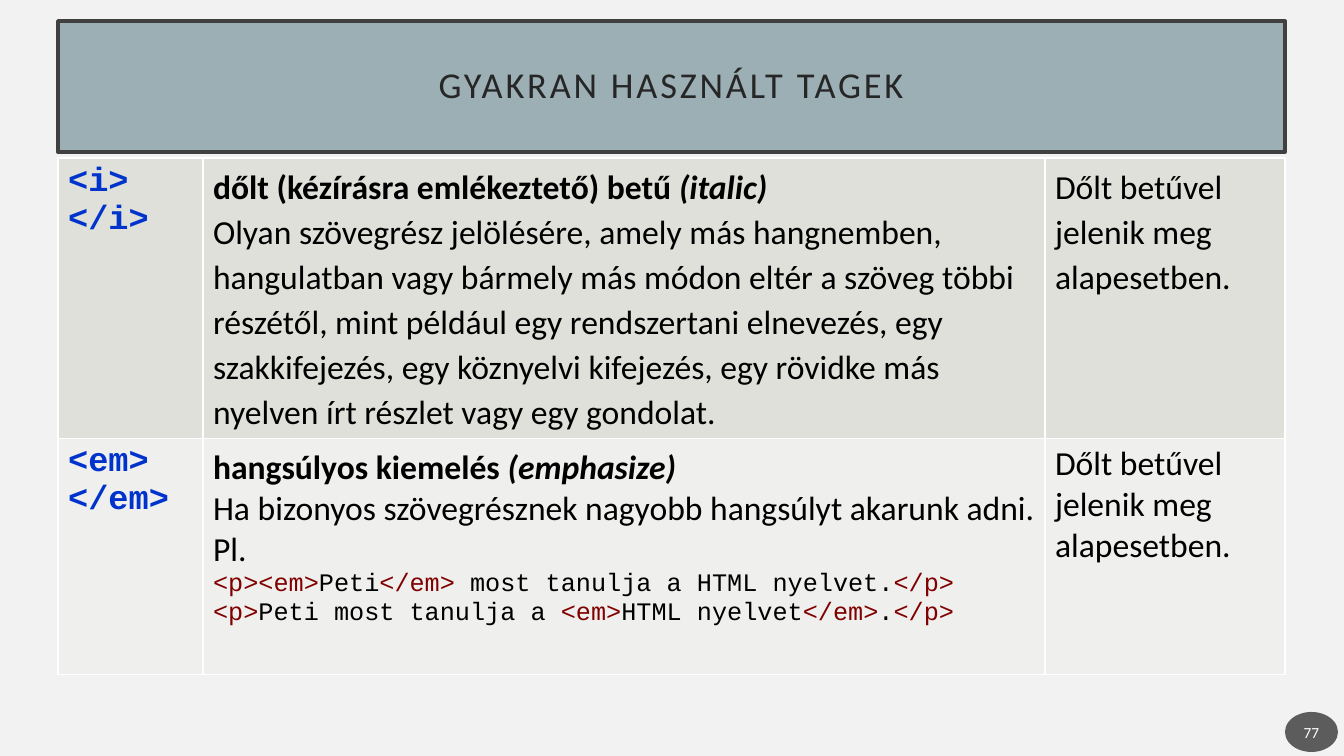
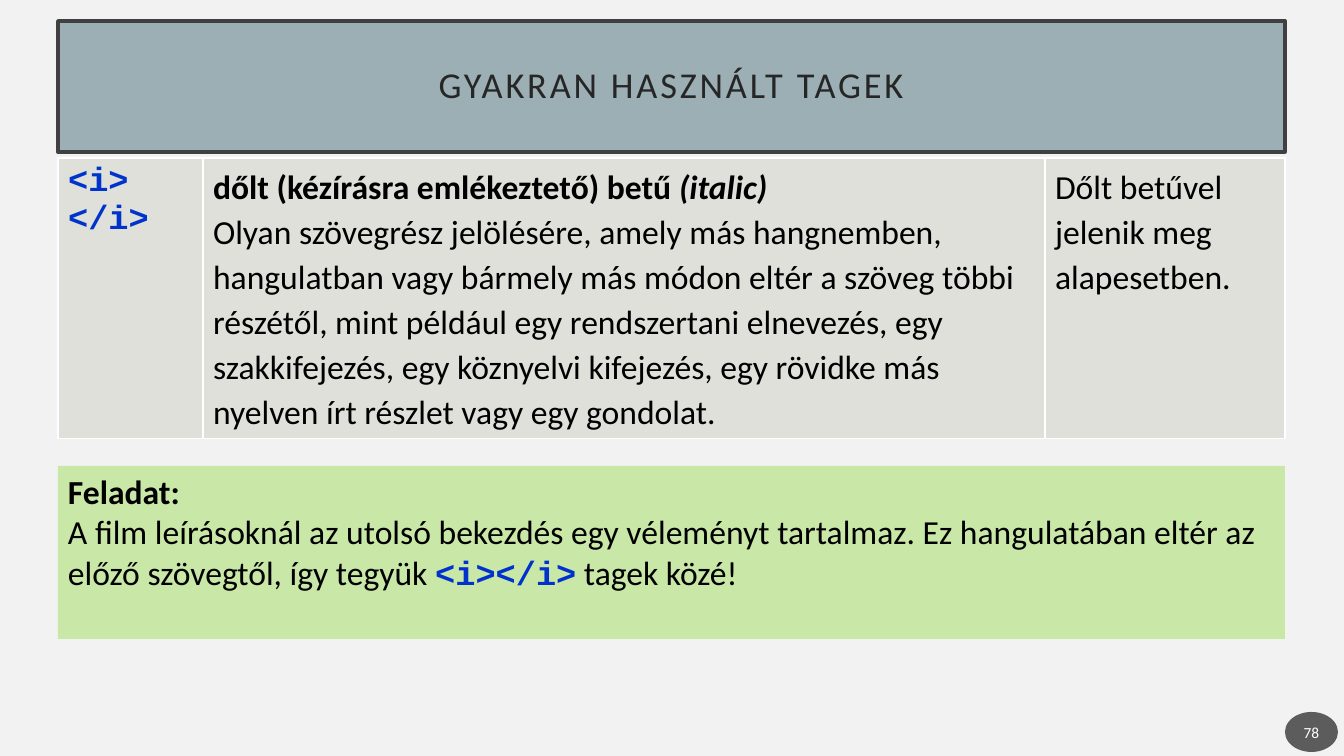
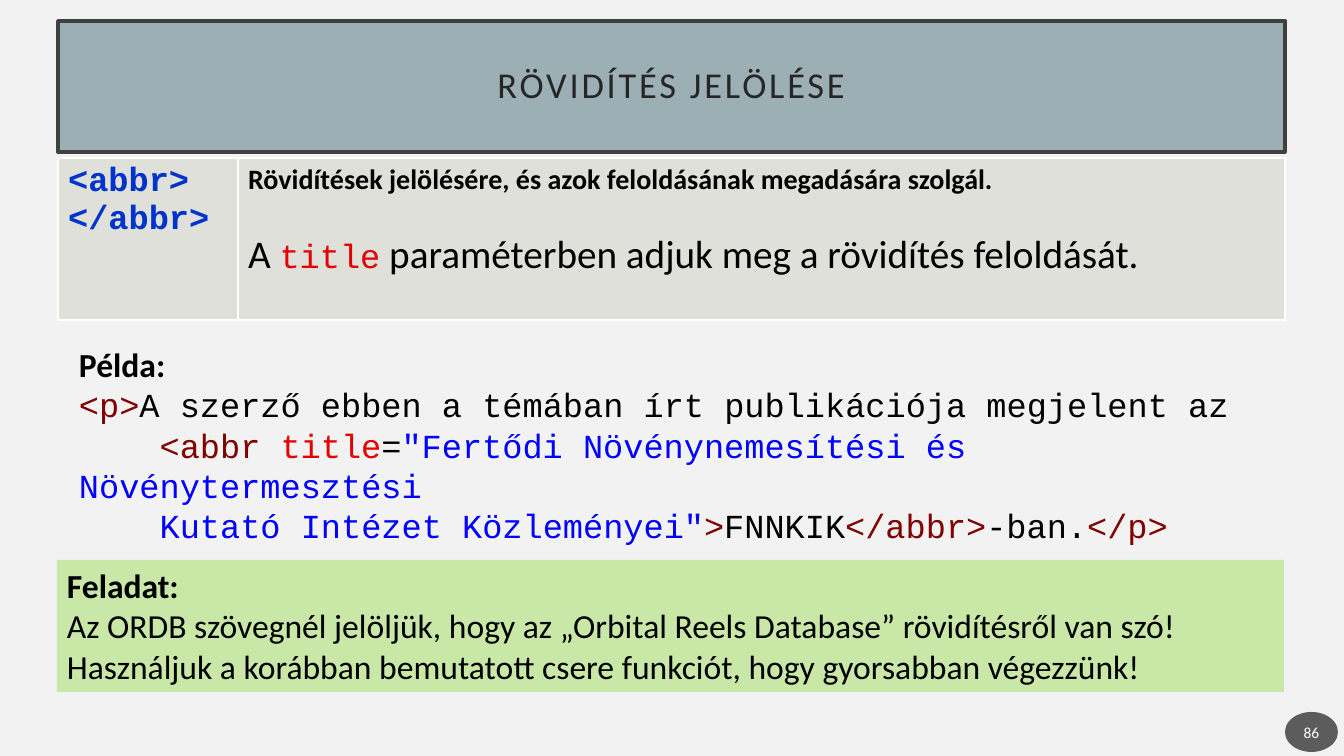
from dataclasses import dataclass, field

from lxml.etree import SubElement
from pptx import Presentation
from pptx.dml.color import RGBColor
from pptx.enum.shapes import MSO_SHAPE
from pptx.enum.text import MSO_ANCHOR, MSO_AUTO_SIZE, PP_ALIGN
from pptx.oxml.ns import qn
from pptx.util import Emu, Pt

EMU_PER_PX = 914400 / 100.8
LEFT, WIDTH = 58, 1227


def px(length):
    """Turn whole pixels into EMU."""
    return Emu(round(length * EMU_PER_PX))


def text_style(color="ink", size="body", name="text", bold=False, italic=False):
    """Describe the look of a run by theme keys."""
    return {"color": color, "size": size, "name": name, "bold": bold, "italic": italic}


def code_style(color="ink", size="body", bold=False):
    """Describe the look of a code run."""
    return text_style(color, size, "code", bold)


def line(*runs, **layout):
    """Describe a paragraph by its runs and its layout values."""
    return runs, layout


@dataclass(frozen=True)
class Theme:
    """Colours, fonts, type sizes and run styles of the deck."""

    colors: dict = field(default_factory=lambda: {
        "background": "F2F2F2", "band": "9BAFB5", "frame": "404040", "title": "262626",
        "badge": "1D1D1D", "white": "FFFFFF", "ink": "000000", "row_dark": "DEE0D9",
        "row_light": "EFF0ED", "task": "C9E7A7", "keyword": "0033CC", "markup": "800000",
        "attribute": "E50000", "value": "0000FF",
    })
    fonts: dict = field(default_factory=lambda: {"text": "Calibri", "code": "Courier New"})
    sizes: dict = field(default_factory=lambda: {
        "badge": 11, "small": 18, "lead": 20, "body": 24, "title": 26, "large": 28,
    })
    styles: dict = field(default_factory=lambda: {
        "title": text_style("title", "title"),
        "badge": text_style("white", "badge"),
        "body": text_style(),
        "strong": text_style(bold=True),
        "term": text_style(bold=True, italic=True),
        "lead": text_style(size="lead", bold=True),
        "large": text_style(size="large"),
        "keyword": code_style("keyword", bold=True),
        "code": code_style(),
        "markup": code_style("markup"),
        "attribute": code_style("attribute"),
        "value": code_style("value"),
        "small_code": code_style(size="small"),
        "small_markup": code_style("markup", "small"),
    })


class Deck:
    """Hold the theme and the current slide and draw each kind of element."""

    def __init__(self, theme):
        """Start a wide presentation with the shared background."""
        self.theme = theme
        self.slide = None
        self.presentation = Presentation()
        self.presentation.slide_width = px(1344)
        self.presentation.slide_height = px(756)
        self.paint(self.presentation.slide_master.background.fill, "background")

    def color(self, key):
        """Look up a theme colour."""
        return RGBColor.from_string(self.theme.colors[key])

    def paint(self, fill, key):
        """Give a fill one theme colour."""
        fill.solid()
        fill.fore_color.rgb = self.color(key)

    def set_lines(self, frame, lines, **layout):
        """Put paragraphs of styled runs into a text frame."""
        for index, (runs, own_layout) in enumerate(lines):
            paragraph = frame.paragraphs[0] if index == 0 else frame.add_paragraph()
            for name, value in {"alignment": PP_ALIGN.LEFT, **layout, **own_layout}.items():
                setattr(paragraph, name, value)
            for text, style in runs:
                self.add_run(paragraph, text, self.theme.styles[style])

    def add_run(self, paragraph, text, style):
        """Add a run, with a line break at each newline."""
        values = {**style, "name": self.theme.fonts[style["name"]],
                  "size": Pt(self.theme.sizes[style["size"]])}
        color = self.color(values.pop("color"))
        for index, part in enumerate(text.split("\n")):
            if index:
                paragraph.add_line_break()
            if part:
                run = paragraph.add_run()
                run.text = part
                run.font.color.rgb = color
                for name, value in values.items():
                    setattr(run.font, name, value)

    def set_frame(self, frame, anchor, horizontal=10, vertical=5):
        """Set wrapping, anchor and margins of a text frame."""
        values = {
            "word_wrap": True, "auto_size": MSO_AUTO_SIZE.NONE, "vertical_anchor": anchor,
            "margin_left": px(horizontal), "margin_right": px(horizontal),
            "margin_top": px(vertical), "margin_bottom": px(vertical),
        }
        for name, value in values.items():
            setattr(frame, name, value)

    def add_slide(self, title, number):
        """Add a slide with its title band and number badge."""
        self.slide = self.presentation.slides.add_slide(self.presentation.slide_layouts[5])
        band = self.slide.shapes.title
        for name, value in {"left": LEFT, "top": 21, "width": WIDTH, "height": 131}.items():
            setattr(band, name, px(value))
        self.paint(band.fill, "band")
        self.paint(band.line.fill, "frame")
        band.line.width = Pt(2.5)
        self.set_frame(band.text_frame, MSO_ANCHOR.MIDDLE, 20, 20)
        self.set_lines(band.text_frame, [line((title, "title"))],
                       alignment=PP_ALIGN.CENTER, line_spacing=0.9)
        band.text_frame.paragraphs[0].runs[0].font._element.set("spc", "200")
        self.add_badge(number)

    def add_shape(self, preset, box, fill):
        """Add a flat preset shape without an outline."""
        shape = self.slide.shapes.add_shape(preset, *map(px, box))
        shape.shadow.inherit = False
        shape.line.fill.background()
        self.paint(shape.fill, fill)
        return shape

    def add_badge(self, number):
        """Add the translucent slide number badge."""
        badge = self.add_shape(MSO_SHAPE.OVAL, (1285, 712, 53, 40), "badge")
        color = badge._element.spPr.find(qn("a:solidFill"))[0]
        SubElement(color, qn("a:alpha"), val="70000")
        self.set_frame(badge.text_frame, MSO_ANCHOR.MIDDLE, 2)
        self.set_lines(badge.text_frame, [line((str(number), "badge"))],
                       alignment=PP_ALIGN.CENTER)

    def add_task(self, left, top, height, *runs):
        """Add a green task box with its heading."""
        task = self.add_shape(MSO_SHAPE.RECTANGLE, (left, top, WIDTH, height), "task")
        self.set_frame(task.text_frame, MSO_ANCHOR.TOP)
        self.set_lines(task.text_frame, [line(("Feladat:", "strong")), line(*runs)])

    def add_text(self, box, lines):
        """Add a plain text box."""
        text_box = self.slide.shapes.add_textbox(*map(px, box))
        self.set_frame(text_box.text_frame, MSO_ANCHOR.TOP)
        self.set_lines(text_box.text_frame, lines)

    def add_table(self, widths, heights, rows):
        """Add a table of tag descriptions below the title band."""
        frame = self.slide.shapes.add_table(
            len(rows), len(widths), px(LEFT), px(158), px(sum(widths)), px(sum(heights)))
        table = frame.table
        table.first_row = table.horz_banding = False
        for column, width in zip(table.columns, widths):
            column.width = px(width)
        for index, (row, height, cells) in enumerate(zip(table.rows, heights, rows)):
            row.height = px(height)
            for cell, lines in zip(row.cells, cells):
                self.add_borders(cell)
                self.paint(cell.fill, ("row_dark", "row_light")[index % 2])
                self.set_lines(cell.text_frame, lines)

    def add_borders(self, cell):
        """Draw thin white borders around a cell."""
        properties = cell._tc.get_or_add_tcPr()
        for side in ("a:lnL", "a:lnR", "a:lnT", "a:lnB"):
            border = SubElement(properties, qn(side), w=str(Pt(1)))
            fill = SubElement(border, qn("a:solidFill"))
            SubElement(fill, qn("a:srgbClr"), val=self.theme.colors["white"])


TAG_COLUMNS = (145, 842, 240)
COMMON_TITLE = "GYAKRAN HASZNÁLT TAGEK"
RENDERING = ("Dőlt betűvel jelenik meg alapesetben.", "body")
ITALIC_HEIGHT = 280
ITALIC_ROW = (
    [line(("<i>\n</i>", "keyword"))],
    [line(("dőlt (kézírásra emlékeztető) betű ", "strong"), ("(italic)", "term"),
          line_spacing=1.1),
     line(("Olyan szövegrész jelölésére, amely más hangnemben, hangulatban vagy bármely más "
           "módon eltér a szöveg többi részétől, mint például egy rendszertani elnevezés, egy "
           "szakkifejezés, egy köznyelvi kifejezés, egy rövidke más nyelven írt részlet vagy "
           "egy gondolat.", "body"), line_spacing=1.1)],
    [line(RENDERING, line_spacing=1.1)],
)
EMPHASIS_ROW = (
    [line(("<em>\n</em>", "keyword"))],
    [line(("hangsúlyos kiemelés ", "strong"), ("(emphasize)", "term"), line_spacing=1.1),
     line(("Ha bizonyos szövegrésznek nagyobb hangsúlyt akarunk adni. Pl.\n", "body"),
          ("<p><em>", "small_markup"), ("Peti", "small_code"), ("</em>", "small_markup"),
          (" most tanulja a HTML nyelvet.", "small_code"), ("</p>", "small_markup")),
     line(("<p>", "small_markup"), ("Peti most tanulja a ", "small_code"),
          ("<em>", "small_markup"), ("HTML nyelvet", "small_code"),
          ("</em>", "small_markup"), (".", "small_code"), ("</p>", "small_markup"))],
    [line(RENDERING)],
)
ABBREVIATION_ROW = (
    [line(("<abbr>\n</abbr>", "keyword"))],
    [line(("Rövidítések jelölésére, és azok feloldásának megadására szolgál.", "lead")),
     line(("A ", "large"), ("title", "attribute"),
          (" paraméterben adjuk meg a rövidítés feloldását.", "large"), space_before=Pt(24))],
)
ABBREVIATION_EXAMPLE = [
    line(("Példa:\n", "strong"), ("<p>", "markup"),
         ("A szerző ebben a témában írt publikációja megjelent az", "code")),
    line(("    ", "code"), ("<abbr ", "markup"), ("title", "attribute"), ("=", "code"),
         ('"Fertődi Növénynemesítési és Növénytermesztési', "value")),
    line(('    Kutató Intézet Közleményei"', "value"), (">", "markup"), ("FNNKIK", "code"),
         ("</abbr>", "markup"), ("-ban.", "code"), ("</p>", "markup")),
]


def main():
    """Build the three slides and save them."""
    deck = Deck(Theme())

    deck.add_slide(COMMON_TITLE, 77)
    deck.add_table(TAG_COLUMNS, (ITALIC_HEIGHT, 236), (ITALIC_ROW, EMPHASIS_ROW))

    deck.add_slide(COMMON_TITLE, 78)
    deck.add_table(TAG_COLUMNS, (ITALIC_HEIGHT,), (ITALIC_ROW,))
    deck.add_task(LEFT, 466, 173,
                  ("A film leírásoknál az utolsó bekezdés egy véleményt tartalmaz. Ez "
                   "hangulatában eltér az előző szövegtől, így tegyük ", "body"),
                  ("<i></i>", "keyword"), (" tagek közé!", "body"))

    deck.add_slide("RÖVIDÍTÉS JELÖLÉSE", 86)
    deck.add_table((180, 1047), (162,), (ABBREVIATION_ROW,))
    deck.add_task(LEFT - 1, 560, 132,
                  ("Az ORDB szövegnél jelöljük, hogy az „Orbital Reels Database” rövidítésről "
                   "van szó! Használjuk a korábban bemutatott csere funkciót, hogy gyorsabban "
                   "végezzünk!", "body"))
    deck.add_text((69, 339, 1217, 211), ABBREVIATION_EXAMPLE)

    deck.presentation.save("out.pptx")


if __name__ == "__main__":
    main()
